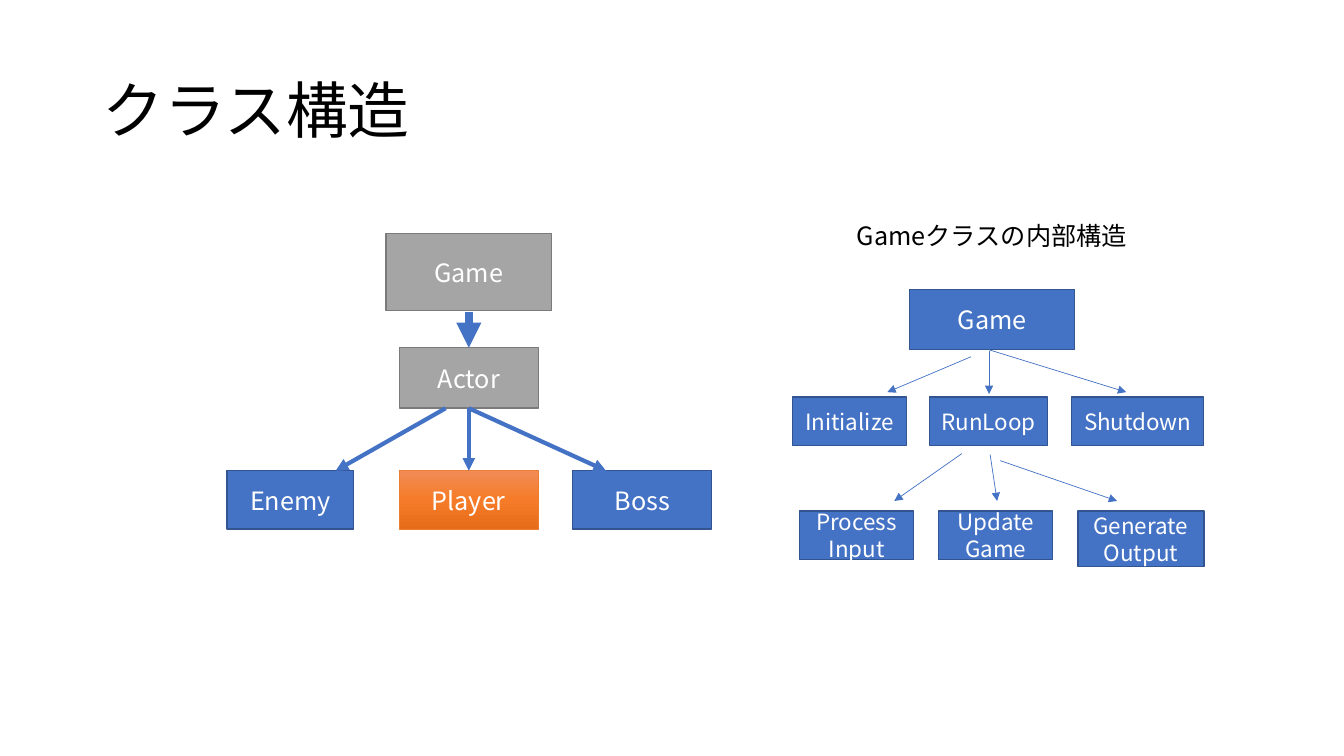
from copy import deepcopy

from pptx import Presentation
from pptx.dml.color import RGBColor
from pptx.enum.shapes import MSO_CONNECTOR, MSO_SHAPE
from pptx.enum.text import MSO_ANCHOR, PP_ALIGN
from pptx.oxml.ns import qn
from pptx.util import Inches, Pt
from lxml.etree import SubElement

FONT = "Noto Sans CJK JP"
WIDTH, HEIGHT = Inches(13.33), Inches(7.5)

BLACK = RGBColor(0x00, 0x00, 0x00)
WHITE = RGBColor(0xFF, 0xFF, 0xFF)
BLUE = RGBColor(0x44, 0x72, 0xC4)
DARK_BLUE = RGBColor(0x32, 0x54, 0x91)
GRAY = RGBColor(0xA5, 0xA5, 0xA5)
DARK_GRAY = RGBColor(0x7A, 0x7A, 0x7A)
ORANGE = RGBColor(0xED, 0x7D, 0x31)
ORANGE_STOPS = [RGBColor(0xF1, 0x8C, 0x57), RGBColor(0xF6, 0x7B, 0x28),
                RGBColor(0xE5, 0x6C, 0x19)]

# Columns (left, width) and rows (top, height) in percent of the slide
CENTER_COLUMN = (29.71, 10.35)
ACTOR_ROW = (46, 8)
CHARACTER_ROW = (62.27, 7.73)
STEP_ROW = (52.53, 6.4)
PHASE_ROW = (67.6, 6.4)


def across(share):
    return round(WIDTH * share / 100)


def down(share):
    return round(HEIGHT * share / 100)


def frame(column, row):
    """Turn a column and a row into left, top, width and height."""
    return across(column[0]), down(row[0]), across(column[1]), down(row[1])


def write(text_frame, text, size, color, align=PP_ALIGN.LEFT):
    text_frame.word_wrap = True
    text_frame.text = text
    for paragraph in text_frame.paragraphs:
        paragraph.alignment = align
        for run in paragraph.runs:
            run.font.name = FONT
            run.font.size = Pt(size)
            run.font.color.rgb = color
            SubElement(run.font._element, qn("a:ea"), typeface=FONT)


def add_label(slide, text, column, row, size):
    label = slide.shapes.add_textbox(*frame(column, row))
    write(label.text_frame, text, size, BLACK)
    return label


def add_box(slide, text, column, row, size=18, fill=BLUE, border=DARK_BLUE):
    box = slide.shapes.add_shape(MSO_SHAPE.RECTANGLE, *frame(column, row))
    box.shadow.inherit = False
    box.fill.solid()
    box.fill.fore_color.rgb = fill
    box.line.color.rgb = border
    box.line.width = Pt(1)
    box.text_frame.vertical_anchor = MSO_ANCHOR.MIDDLE
    write(box.text_frame, text, size, WHITE, PP_ALIGN.CENTER)
    return box


def shade_downwards(box, colors):
    """Give a box a vertical gradient with evenly spaced colours."""
    box.fill.gradient()
    box.fill.gradient_angle = 270
    stop_list = box._element.spPr.find(qn("a:gradFill")).find(qn("a:gsLst"))
    while len(stop_list) < len(colors):
        stop_list.append(deepcopy(stop_list[-1]))
    for index, (stop, color) in enumerate(zip(box.fill.gradient_stops, colors)):
        stop.position = index / (len(colors) - 1)
        stop.color.rgb = color


def add_arrow(slide, start, end, width):
    arrow = slide.shapes.add_connector(
        MSO_CONNECTOR.STRAIGHT, across(start[0]), down(start[1]),
        across(end[0]), down(end[1]))
    arrow.line.color.rgb = BLUE
    arrow.line.width = Pt(width)
    SubElement(arrow.line._get_or_add_ln(), qn("a:tailEnd"), type="triangle")
    SubElement(arrow._element.spPr, qn("a:effectLst"))


def add_class_tree(slide):
    for text, column, row in [("Game", (28.73, 12.3), (30.93, 10.13)),
                              ("Actor", CENTER_COLUMN, ACTOR_ROW)]:
        add_box(slide, text, column, row, fill=GRAY, border=DARK_GRAY)

    # Kinds of actor
    add_box(slide, "Enemy", (16.88, 9.45), CHARACTER_ROW)
    player = add_box(slide, "Player", CENTER_COLUMN, CHARACTER_ROW, border=ORANGE)
    player.line.width = Pt(0.5)
    shade_downwards(player, ORANGE_STOPS)
    add_box(slide, "Boss", (42.61, 10.35), CHARACTER_ROW)

    # Inheritance arrows
    middle = CENTER_COLUMN[0] + CENTER_COLUMN[1] / 2
    actor_bottom = sum(ACTOR_ROW)
    add_arrow(slide, (middle, 41.33), (middle, ACTOR_ROW[0]), 6)
    for start, end in [(33.16, 24.98), (middle, middle), (middle, 45.09)]:
        add_arrow(slide, (start, actor_bottom), (end, CHARACTER_ROW[0]), 3)


def add_game_tree(slide):
    add_label(slide, "Gameクラスの内部構造", (63.02, 21.76), (28.53, 5.33), 18)
    add_box(slide, "Game", (67.67, 12.3), (38.27, 8))

    # Steps of the game and phases of its loop
    for text, column, row in [
            ("Initialize", (58.96, 8.48), STEP_ROW),
            ("RunLoop", (69.17, 8.78), STEP_ROW),
            ("Shutdown", (79.74, 9.83), STEP_ROW),
            ("Process\nInput", (59.49, 8.48), PHASE_ROW),
            ("Update\nGame", (69.84, 8.48), PHASE_ROW),
            ("GenerateOutput", (80.2, 9.38), (PHASE_ROW[0], 7.33))]:
        add_box(slide, text, column, row, size=16)

    # Call arrows
    for start, end in [((71.57, 60), (66.54, 66.27)),
                       ((73.67, 60.13), (74.19, 66.27)),
                       ((74.42, 60.93), (83.12, 66.27)),
                       ((72.24, 47.2), (66.02, 51.87)),
                       ((73.59, 46.4), (73.59, 52.13)),
                       ((73.59, 46.27), (83.8, 51.87))]:
        add_arrow(slide, start, end, 0.5)


def main():
    presentation = Presentation()
    presentation.slide_width, presentation.slide_height = WIDTH, HEIGHT
    slide = presentation.slides.add_slide(presentation.slide_layouts[6])

    title = add_label(slide, "クラス構造", (6.9, 86.27), (5.33, 19.33), 44)
    title.text_frame.vertical_anchor = MSO_ANCHOR.MIDDLE
    title.text_frame.paragraphs[0].line_spacing = 0.9

    add_class_tree(slide)
    add_game_tree(slide)
    presentation.save("out.pptx")


main()
